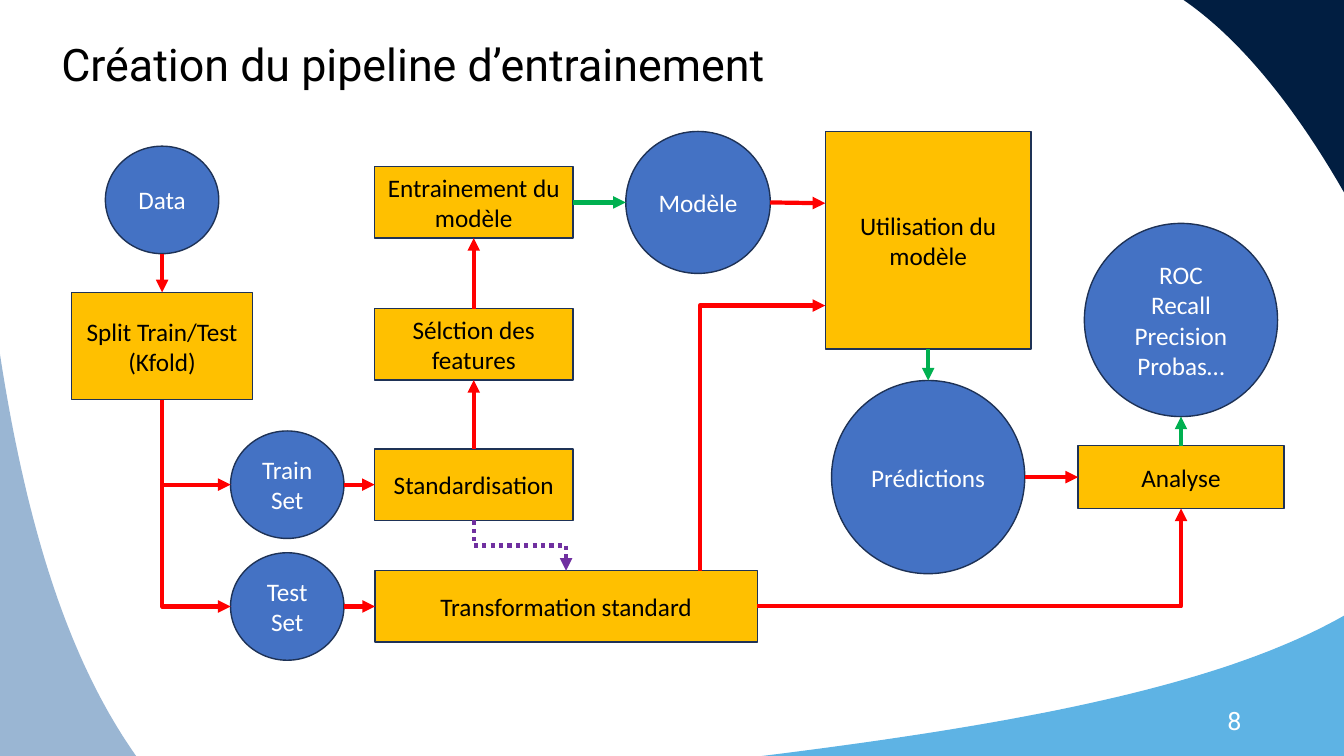
import pptx
import pptx.dml.color
import pptx.enum.dml
import pptx.enum.shapes
import pptx.enum.text
import pptx.oxml
import pptx.oxml.ns
import pptx.util

COLUMNS, ROWS = 160, 90
CELL = pptx.util.Inches(1) // 12
SIDES = {"top": (0.5, 0), "left": (0, 0.5), "bottom": (0.5, 1), "right": (1, 0.5)}
SHAPES = pptx.enum.shapes.MSO_SHAPE
CONNECTORS = pptx.enum.shapes.MSO_CONNECTOR
ALIGN = pptx.enum.text.PP_ALIGN
ANCHOR = pptx.enum.text.MSO_ANCHOR
DASH = pptx.enum.dml.MSO_LINE

RED, GREEN, PURPLE = "FF0000", "00B050", "7030A0"
STEP = {"preset": SHAPES.RECTANGLE, "fill": "FFC000", "ink": "000000"}
ITEM = {"preset": SHAPES.OVAL, "fill": "4472C4", "ink": "FFFFFF"}

# Corner of the slide, then the four control points of its curved edge
WAVES = [
    ("5EB3E4", (160, 90), [(90.7, 90), (124.8, 85.8), (146.4, 81), (160, 73.3)]),
    ("011E41", (160, 0), [(140.9, 0), (148.2, 5), (154.8, 13.8), (160, 22.9)]),
    ("9AB6D3", (0, 90), [(0, 42.2), (3.4, 64.2), (8.6, 79.2), (16.2, 90)]),
]

# Name: style, centre column, centre row, columns, rows, text
BLOCKS = {
    "data": (ITEM, 19.3, 23.8, 13.5, 12.8, "Data"),
    "split": (STEP, 19.3, 41.2, 21.6, 12.8, "Split Train/Test\n(Kfold)"),
    "scaling": (STEP, 56.4, 57.7, 23.6, 8.5, "Standardisation"),
    "train": (ITEM, 34.2, 57.7, 13.5, 12.8, "Train Set"),
    "test": (ITEM, 34.2, 72.2, 13.5, 12.8, "Test Set"),
    "transform": (STEP, 67.4, 72.2, 45.5, 8.5, "Transformation standard"),
    "selection": (STEP, 56.4, 41, 23.6, 8.5, "Sélction des features"),
    "training": (STEP, 56.4, 24.1, 23.6, 8.5, "Entrainement du modèle"),
    "model": (ITEM, 83.1, 24.1, 17.2, 16.9, "Modèle"),
    "usage": (STEP, 110.5, 28.6, 24.5, 25.9, "Utilisation du modèle"),
    "predictions": (ITEM, 110.5, 56.8, 23, 23, "Prédictions"),
    "analysis": (STEP, 140.6, 56.8, 24.5, 7.5, "Analyse"),
    "scores": (ITEM, 140.6, 38.1, 23, 23, "ROC\nRecall\nPrecision\nProbas…"),
}

ARROWS = [
    ("data", "bottom", "split", "top", RED),
    ("usage", "bottom", "predictions", "top", GREEN),
    ("analysis", "top", "scores", "bottom", GREEN),
    ("predictions", "right", "analysis", "left", RED),
    ("train", "right", "scaling", "left", RED),
    ("training", "right", "model", "left", GREEN),
    ("scaling", "top", "selection", "bottom", RED),
    ("selection", "top", "training", "bottom", RED),
    ("test", "right", "transform", "left", RED),
]


def color(hex_text):
    return pptx.dml.color.RGBColor.from_string(hex_text)


def curve_point(controls, t):
    """Point at share t of a cubic Bézier curve."""
    weights = ((1 - t) ** 3, 3 * t * (1 - t) ** 2, 3 * t * t * (1 - t), t ** 3)
    return tuple(sum(w * point[axis] for w, point in zip(weights, controls)) for axis in (0, 1))


def edge_point(shape, side, share=None):
    """Middle of a side, or the point at a share along it."""
    x, y = SIDES[side]
    if share is not None:
        x, y = (share, y) if side in ("top", "bottom") else (x, share)
    return round(shape.left + x * shape.width), round(shape.top + y * shape.height)


class PipelineSlide:
    def __init__(self, deck):
        self.page = deck.slides.add_slide(deck.slide_layouts[5])
        self.font = "Calibri"
        self.heading_font = "Roboto"
        self.size = 18
        self.line_width = pptx.util.Pt(3)

    def grid(self, *cells):
        return [round(cell * CELL) for cell in cells]

    def place(self, shape, *cells):
        for name, length in zip(("left", "top", "width", "height"), self.grid(*cells)):
            setattr(shape, name, length)

    def set_text(self, shape, text, ink, align=ALIGN.CENTER, **changes):
        frame = shape.text_frame
        frame.text = text
        frame.word_wrap = True
        frame.auto_size = pptx.enum.text.MSO_AUTO_SIZE.NONE
        frame.vertical_anchor = ANCHOR.MIDDLE
        values = {"name": self.font, "size": pptx.util.Pt(self.size), **changes}
        for para in frame.paragraphs:
            para.alignment = align
            for span in para.runs:
                span.font.color.rgb = color(ink)
                for name, value in values.items():
                    setattr(span.font, name, value)

    def title(self, text):
        box = self.page.shapes.title
        self.place(box, 6.1, 3.7, 106.8, 7.7)
        self.set_text(box, text, "000000", ALIGN.LEFT,
                      name=self.heading_font, size=pptx.util.Pt(32))

    def page_number(self, text):
        box = self.page.shapes.add_textbox(*self.grid(113, 83.4, 36, 4.8))
        self.set_text(box, text, "FFFFFF", ALIGN.RIGHT, name=self.heading_font)

    def wave(self, fill, corner, controls, steps=40):
        points = [curve_point(controls, step / steps) for step in range(steps + 1)]
        builder = self.page.shapes.build_freeform(*self.grid(*corner))
        builder.add_line_segments([self.grid(*point) for point in points])
        shape = builder.convert_to_shape()
        shape.shadow.inherit = False
        shape.fill.solid()
        shape.fill.fore_color.rgb = color(fill)
        shape.line.fill.background()

    def block(self, style, column, row, columns, rows, text):
        shape = self.page.shapes.add_shape(
            style["preset"],
            *self.grid(column - columns / 2, row - rows / 2, columns, rows))
        shape.shadow.inherit = False
        shape.fill.solid()
        shape.fill.fore_color.rgb = color(style["fill"])
        shape.line.color.rgb = color("1E3256")
        shape.line.width = pptx.util.Pt(1)
        self.set_text(shape, text, style["ink"])
        return shape

    def connector(self, kind, start, end, ink):
        link = self.page.shapes.add_connector(kind, *start, *end)
        link.line.color.rgb = color(ink)
        link.line.width = self.line_width
        properties = link._element.spPr
        namespace = pptx.oxml.ns.nsdecls("a")
        properties.find(pptx.oxml.ns.qn("a:ln")).append(
            pptx.oxml.parse_xml(f'<a:tailEnd {namespace} type="triangle"/>'))
        properties.append(pptx.oxml.parse_xml(f"<a:effectLst {namespace}/>"))
        return link

    def arrow(self, start, end, ink):
        return self.connector(CONNECTORS.STRAIGHT, start, end, ink)

    def elbow(self, start, end, ink, upright, bends=1):
        """Bent arrow to the right; upright means that it leaves vertically."""
        if upright:
            (x1, y1), (x2, y2) = start, end
            middle_x, middle_y = (x1 + x2) // 2, (y1 + y2) // 2
            half_width, half_height = (y2 - y1) // 2, (x2 - x1) // 2
            # A quarter turn swaps width and height; a downward start is mirrored
            start = (middle_x + half_width, middle_y - half_height)
            end = (middle_x - half_width, middle_y + half_height)
        link = self.connector(CONNECTORS.ELBOW, start, end, ink)
        properties = link._element.spPr
        if upright:
            properties.find(pptx.oxml.ns.qn("a:xfrm")).set("rot", str(270 * 60000))
        geometry = properties.find(pptx.oxml.ns.qn("a:prstGeom"))
        geometry.set("prst", f"bentConnector{bends + 1}")
        return link


def main():
    deck = pptx.Presentation()
    deck.slide_width, deck.slide_height = COLUMNS * CELL, ROWS * CELL
    slide = PipelineSlide(deck)
    for wave in WAVES:
        slide.wave(*wave)
    slide.page_number("8")
    slide.title("Création du pipeline d’entrainement")
    blocks = {name: slide.block(*values) for name, values in BLOCKS.items()}

    for source, source_side, target, target_side, ink in ARROWS:
        slide.arrow(edge_point(blocks[source], source_side),
                    edge_point(blocks[target], target_side), ink)
    slide.arrow(edge_point(blocks["model"], "right"),
                edge_point(blocks["usage"], "left", 0.33), RED)

    for name in ("train", "test"):
        slide.elbow(edge_point(blocks["split"], "bottom"),
                    edge_point(blocks[name], "left"), RED, upright=True)
    slide.elbow(edge_point(blocks["transform"], "top", 0.85),
                edge_point(blocks["usage"], "left", 0.8), RED, upright=True)
    slide.elbow(edge_point(blocks["transform"], "right"),
                edge_point(blocks["analysis"], "bottom"), RED, upright=False)
    fitted = slide.elbow(edge_point(blocks["scaling"], "bottom"),
                         edge_point(blocks["transform"], "top"), PURPLE,
                         upright=True, bends=2)
    fitted.line.dash_style = DASH.ROUND_DOT
    deck.save("out.pptx")


if __name__ == "__main__":
    main()
